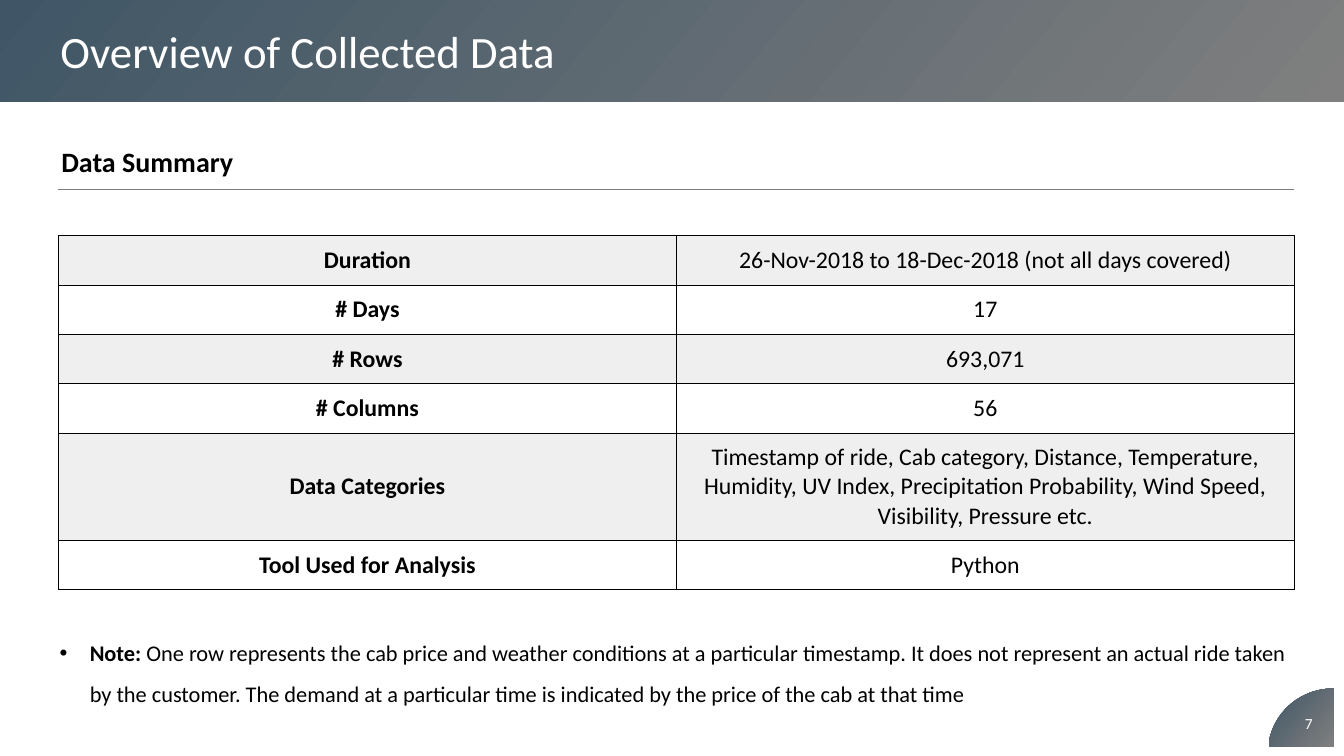
from typing import NamedTuple

from lxml import etree
from pptx import Presentation
from pptx.dml.color import RGBColor
from pptx.enum.shapes import MSO_CONNECTOR
from pptx.enum.text import MSO_ANCHOR, MSO_AUTO_SIZE, PP_ALIGN
from pptx.oxml.ns import qn
from pptx.util import Pt

LINE = MSO_CONNECTOR.STRAIGHT
TOP, MID = MSO_ANCHOR.TOP, MSO_ANCHOR.MIDDLE
LEFT, MIDDLE = PP_ALIGN.LEFT, PP_ALIGN.CENTER
FIXED = MSO_AUTO_SIZE.NONE

BLACK, WHITE, GREY, SLATE, BAND = "000000", "FFFFFF", "7F7F7F", "405666", "EFEFEF"
EDGE, WIDE = 41.8, 882.7  # left margin and content width
ROW, EXTRA = 35.2, 20.7  # height of a one-line row, and of each further line


class Fact(NamedTuple):
    label: str
    value: str
    lines: int = 1


class Point(NamedTuple):
    x: float
    y: float


FACTS = [
    Fact("Duration", "26-Nov-2018 to 18-Dec-2018 (not all days covered)"),
    Fact("# Days", "17"),
    Fact("# Rows", "693,071"),
    Fact("# Columns", "56"),
    Fact("Data Categories", "Timestamp of ride, Cab category, Distance, Temperature, "
         "Humidity, UV Index, Precipitation Probability, Wind Speed, "
         "Visibility, Pressure etc.", 3),
    Fact("Tool Used for Analysis", "Python"),
]


def color(code: str) -> RGBColor:
    return RGBColor.from_string(code)


def write(para, text: str, size: float = 17, tint: str = BLACK,
          bold: bool = False, align=LEFT) -> None:
    para.alignment = align
    run = para.add_run()
    run.text = text
    font = run.font
    font.name, font.size, font.bold = "Calibri", Pt(size), bold
    font.color.rgb = color(tint)


def place(shape, x: float, y: float, w: float, h: float) -> None:
    shape.left, shape.top, shape.width, shape.height = Pt(x), Pt(y), Pt(w), Pt(h)


def setup(frame, anchor=MID, side: float = 7.2, edge: float = 3.6) -> None:
    frame.word_wrap, frame.auto_size = True, FIXED
    frame.vertical_anchor = anchor
    frame.margin_left = frame.margin_right = Pt(side)
    frame.margin_top = frame.margin_bottom = Pt(edge)


def label(slide, x: float, y: float, w: float, h: float, text: str,
          anchor=MID, **form) -> None:
    box = slide.shapes.add_textbox(Pt(x), Pt(y), Pt(w), Pt(h))
    setup(box.text_frame, anchor)
    write(box.text_frame.paragraphs[0], text, **form)


def shade(shape) -> None:
    shape.fill.gradient()
    shape.fill.gradient_angle = 320
    for stop, code in zip(shape.fill.gradient_stops, (SLATE, GREY)):
        stop.color.rgb = color(code)


def border(cell) -> None:
    props = cell._tc.get_or_add_tcPr()
    for spot, side in enumerate(("a:lnL", "a:lnR", "a:lnT", "a:lnB")):
        line = etree.Element(qn(side), w=str(Pt(0.75)))
        fill = etree.SubElement(line, qn("a:solidFill"))
        etree.SubElement(fill, qn("a:srgbClr"), val=BLACK)
        props.insert(spot, line)


def curve(a: Point, b: Point, c: Point, d: Point, steps: int = 32) -> list[Point]:
    """Points along a cubic Bezier curve."""
    def mix(t: float, p: float, q: float, r: float, s: float) -> float:
        u = 1 - t
        return u**3 * p + 3 * u * u * t * q + 3 * u * t * t * r + t**3 * s
    return [Point(mix(i / steps, a.x, b.x, c.x, d.x),
                  mix(i / steps, a.y, b.y, c.y, d.y)) for i in range(steps + 1)]


def header(slide) -> None:
    title = slide.shapes.title
    place(title, 0, 0, 960, 72.7)
    shade(title)
    setup(title.text_frame)
    title.text_frame.margin_left = Pt(43.2)
    write(title.text_frame.paragraphs[0], "Overview of Collected Data", 32, WHITE)


def section(slide) -> None:
    label(slide, 36.7, 100, 527.8, 28.8, "Data Summary", TOP, size=20, bold=True)
    rule = slide.shapes.add_connector(
        LINE, Pt(EDGE), Pt(135.4), Pt(EDGE + WIDE), Pt(135.4))
    rule.line.color.rgb = color(GREY)
    rule.line.width = Pt(0.75)
    etree.SubElement(rule._element.spPr, qn("a:effectLst"))


def summary(slide) -> None:
    highs = [ROW + EXTRA * (fact.lines - 1) for fact in FACTS]
    table = slide.shapes.add_table(
        len(FACTS), 2, Pt(EDGE), Pt(168.5), Pt(WIDE), Pt(sum(highs))).table
    table.first_row = table.horz_banding = False
    for i, (fact, high) in enumerate(zip(FACTS, highs)):
        table.rows[i].height = Pt(high)
        for j, text in enumerate((fact.label, fact.value)):
            cell = table.cell(i, j)
            cell.vertical_anchor = MID
            cell.margin_left = cell.margin_right = Pt(7.2)
            cell.margin_top = cell.margin_bottom = Pt(7.2)
            if i % 2:
                cell.fill.background()
            else:
                cell.fill.solid()
                cell.fill.fore_color.rgb = color(BAND)
            border(cell)
            write(cell.text_frame.paragraphs[0], text, bold=j == 0, align=MIDDLE)


def note(slide) -> None:
    body = slide.placeholders[1]
    place(body, EDGE, 447.1, WIDE, 61.9)
    setup(body.text_frame, TOP, 0, 0)
    para = body.text_frame.paragraphs[0]
    para.line_spacing, para.space_before = 1.5, Pt(0)
    props = para._p.get_or_add_pPr()
    props.set("marL", str(Pt(22.3)))
    props.set("indent", str(-Pt(21.6)))
    tint = etree.SubElement(props, qn("a:buClr"))
    etree.SubElement(tint, qn("a:srgbClr"), val=BLACK)
    etree.SubElement(props, qn("a:buFont"), typeface="Arial")
    etree.SubElement(props, qn("a:buChar"), char="•")
    write(para, "Note: ", 16, bold=True)
    write(para, "One row represents the cab price and weather conditions at a "
          "particular timestamp. It does not represent an actual ride taken by the "
          "customer. The demand at a particular time is indicated by the price of "
          "the cab at that time", 16)


def corner(slide) -> None:
    left, right, top, base = 906.5, 952.6, 491.8, 533.5
    arc = curve(Point(left, 529.2), Point(910.8, 507.6),
                Point(929.5, top), Point(right, top))
    path = slide.shapes.build_freeform(Pt(left), Pt(base))
    path.add_line_segments([(Pt(p.x), Pt(p.y)) for p in arc + [Point(right, base)]])
    shape = path.convert_to_shape()
    shape.shadow.inherit = False
    shape.line.fill.background()
    shade(shape)
    label(slide, 919.4, 502.6, 31, 28.8, "7", size=11, tint=WHITE, align=MIDDLE)


deck = Presentation()
deck.slide_width, deck.slide_height = Pt(960), Pt(540)
page = deck.slides.add_slide(deck.slide_layouts[1])
for draw in (header, section, summary, note, corner):
    draw(page)
deck.save("out.pptx")
